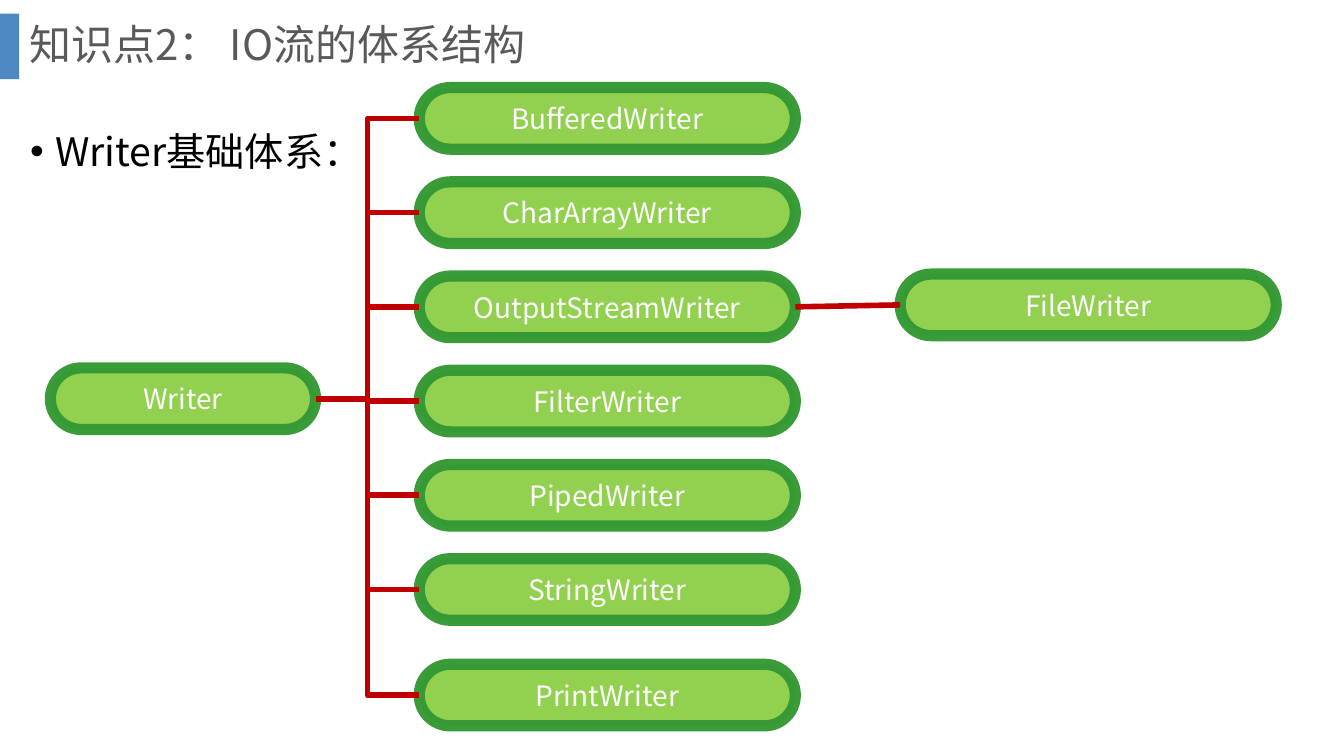
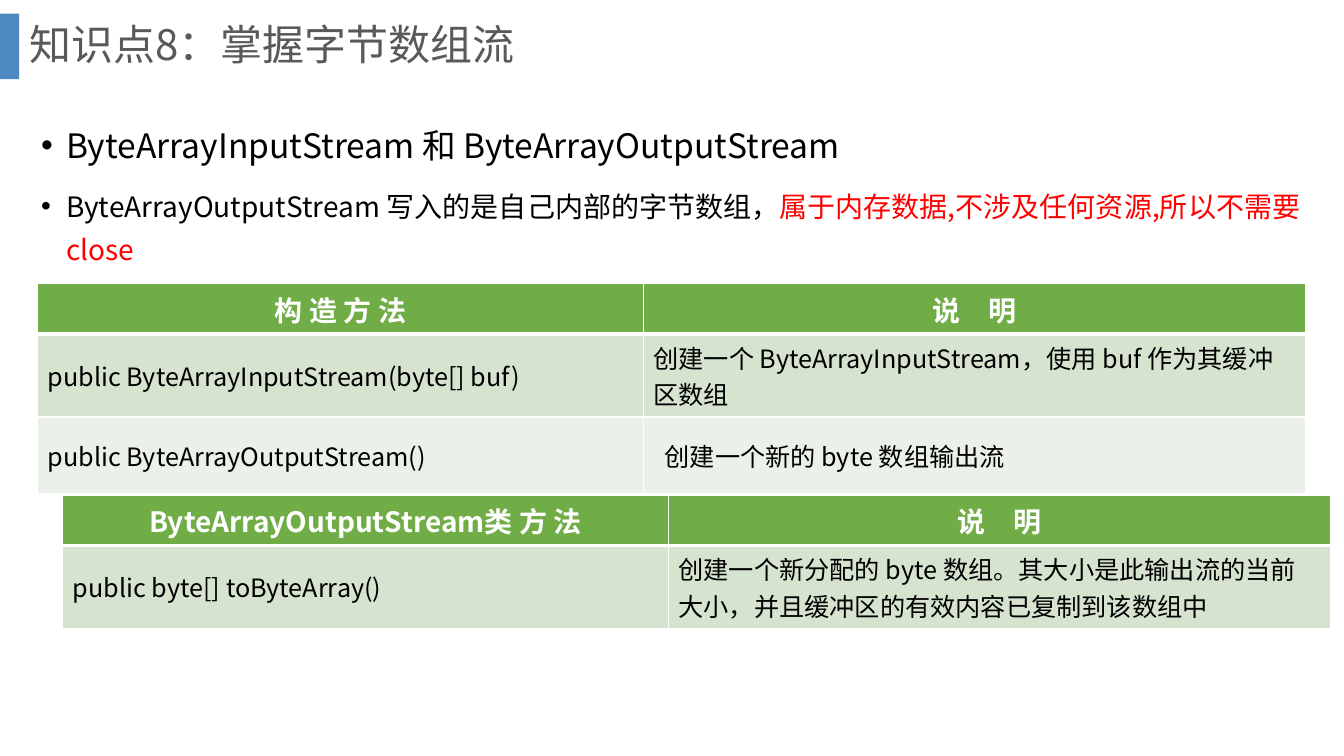
from lxml import etree
from pptx import Presentation
from pptx.dml.color import RGBColor
from pptx.enum import shapes, text
from pptx.oxml import ns
from pptx.util import Pt

FONT = "Noto Sans CJK SC"
WHITE = RGBColor(0xFF, 0xFF, 0xFF)
BLACK = RGBColor(0x00, 0x00, 0x00)
TITLE_GRAY = RGBColor(0x59, 0x59, 0x59)
BAND_BLUE = RGBColor(0x2E, 0x75, 0xB6)
PILL_FILL = RGBColor(0x92, 0xD0, 0x50)
PILL_LINE = RGBColor(0x33, 0x99, 0x33)
LINK_RED = RGBColor(0xC0, 0x00, 0x00)
ALERT_RED = RGBColor(0xFF, 0x00, 0x00)
HEADER_GREEN = RGBColor(0x70, 0xAD, 0x47)
ROW_FILLS = (RGBColor(0xD5, 0xE3, 0xCF), RGBColor(0xEB, 0xF1, 0xE9))

PILL_WIDTH, PILL_HEIGHT = 268.6, 44
COLUMN_WIDTHS = (432.7, 473)
HEADER_HEIGHT = 36


def add_element(parent, tag, **attributes):
    return etree.SubElement(parent, ns.qn(tag), attributes)


def style_run(run, size, color, bold=False):
    run.font.size = Pt(size)
    run.font.name = FONT
    run.font.bold = bold
    run.font.color.rgb = color
    add_element(run.font._element, "a:ea", typeface=FONT)


def set_opacity(fill_parent, percent):
    for color in fill_parent.iter(ns.qn("a:srgbClr")):
        add_element(color, "a:alpha", val=str(percent * 1000))


def add_titled_slide(presentation, title_text):
    """Add a slide with the blue band and the title that all slides share."""
    slide = presentation.slides.add_slide(presentation.slide_layouts[5])
    band = slide.shapes.add_shape(
        shapes.MSO_SHAPE.RECTANGLE, 0, Pt(9.7), Pt(13.7), Pt(46.8))
    band.shadow.inherit = False
    band.fill.solid()
    band.fill.fore_color.rgb = BAND_BLUE
    band.line.fill.background()
    set_opacity(band._element.spPr, 85)

    title = slide.shapes.title
    title.left, title.top, title.width, title.height = Pt(13.7), 0, Pt(911.5), Pt(67)
    frame = title.text_frame
    frame.text = title_text
    frame.auto_size = text.MSO_AUTO_SIZE.NONE
    frame.vertical_anchor = text.MSO_ANCHOR.MIDDLE
    paragraph = frame.paragraphs[0]
    paragraph.alignment = text.PP_ALIGN.LEFT
    paragraph.line_spacing = 0.9
    style_run(paragraph.runs[0], 30, TITLE_GRAY)
    return slide


def add_bullets(slide, left, top, height, line_spacing, bullets):
    """Each bullet is a size and a list of (text, color) pieces."""
    box = slide.shapes.add_textbox(Pt(left), Pt(top), Pt(928.8), Pt(height))
    frame = box.text_frame
    frame.word_wrap = True
    for index, (size, pieces) in enumerate(bullets):
        paragraph = frame.add_paragraph() if index else frame.paragraphs[0]
        paragraph.line_spacing = line_spacing
        paragraph.space_before = Pt(10)
        properties = paragraph._p.get_or_add_pPr()
        properties.set("marL", str(Pt(18)))
        properties.set("indent", str(-Pt(18)))
        add_element(properties, "a:buFont", typeface="Arial")
        add_element(properties, "a:buChar", char="•")
        for piece, color in pieces:
            run = paragraph.add_run()
            run.text = piece
            style_run(run, size, color)


def add_pill(slide, name, left, top, width=PILL_WIDTH):
    pill = slide.shapes.add_shape(
        shapes.MSO_SHAPE.ROUNDED_RECTANGLE, Pt(left), Pt(top), Pt(width), Pt(PILL_HEIGHT))
    pill.adjustments[0] = 0.5
    pill.shadow.inherit = False
    pill.fill.solid()
    pill.fill.fore_color.rgb = PILL_FILL
    pill.line.color.rgb = PILL_LINE
    pill.line.width = Pt(8)
    set_opacity(pill.line._ln, 96)
    frame = pill.text_frame
    frame.text = name
    frame.vertical_anchor = text.MSO_ANCHOR.MIDDLE
    frame.paragraphs[0].alignment = text.PP_ALIGN.CENTER
    style_run(frame.paragraphs[0].runs[0], 20, WHITE)
    return pill


def link_pills(slide, parent, child, kind):
    """Join the right side of the parent to the left side of the child."""
    connector = slide.shapes.add_connector(
        kind, parent.left + parent.width, parent.top + parent.height // 2,
        child.left, child.top + child.height // 2)
    connector.begin_connect(parent, 3)
    connector.end_connect(child, 1)
    connector.line.color.rgb = LINK_RED
    connector.line.width = Pt(4)
    add_element(connector._element.spPr, "a:effectLst")


def set_borders(cell, top, bottom):
    properties = cell._tc.get_or_add_tcPr()
    sides = (("L", 1), ("R", 1), ("T", top), ("B", bottom))
    for index, (side, width) in enumerate(sides):
        line = etree.Element(ns.qn(f"a:ln{side}"), w=str(Pt(width)))
        fill = add_element(line, "a:solidFill")
        add_element(fill, "a:srgbClr", val=str(WHITE))
        properties.insert(index, line)


def add_method_table(slide, left, top, rows, row_heights):
    """Add a table whose first row is a header; return it."""
    heights = (HEADER_HEIGHT, *row_heights)
    table = slide.shapes.add_table(
        len(rows), len(COLUMN_WIDTHS), Pt(left), Pt(top),
        Pt(sum(COLUMN_WIDTHS)), Pt(sum(heights))).table
    for column, width in zip(table.columns, COLUMN_WIDTHS):
        column.width = Pt(width)
    for row_index, (row, height) in enumerate(zip(rows, heights)):
        table.rows[row_index].height = Pt(height)
        header = row_index == 0
        for column_index, content in enumerate(row):
            cell = table.cell(row_index, column_index)
            cell.text = content
            cell.vertical_anchor = text.MSO_ANCHOR.MIDDLE
            cell.fill.solid()
            cell.fill.fore_color.rgb = HEADER_GREEN if header else ROW_FILLS[(row_index - 1) % 2]
            set_borders(cell, top=3 if row_index == 1 else 1, bottom=3 if header else 1)
            paragraph = cell.text_frame.paragraphs[0]
            paragraph.alignment = text.PP_ALIGN.CENTER if header else text.PP_ALIGN.LEFT
            style_run(paragraph.runs[0], 20 if header else 18, WHITE if header else BLACK, header)
    return table


def build_writer_slide(presentation):
    slide = add_titled_slide(presentation, "知识点2： IO流的体系结构")
    add_bullets(slide, 14.4, 70.6, 429, 1.5, [(28, [("Writer基础体系：", BLACK)])])

    writer = add_pill(slide, "Writer", 36, 262.8, 189.4)
    names = ("BufferedWriter", "CharArrayWriter", "OutputStreamWriter", "FilterWriter",
             "PipedWriter", "StringWriter", "PrintWriter")
    tops = [62.6 + 67.3 * index for index in range(6)] + [474.5]
    children = {name: add_pill(slide, name, 299.5, top) for name, top in zip(names, tops)}
    for child in children.values():
        link_pills(slide, writer, child, shapes.MSO_CONNECTOR.ELBOW)
    file_writer = add_pill(slide, "FileWriter", 643, 195.8)
    link_pills(slide, children["OutputStreamWriter"], file_writer, shapes.MSO_CONNECTOR.STRAIGHT)


def build_byte_array_slide(presentation):
    slide = add_titled_slide(presentation, "知识点8：掌握字节数组流")
    add_bullets(slide, 22.3, 77, 460, 1.3, [
        (24, [("ByteArrayInputStream 和 ByteArrayOutputStream", BLACK)]),
        (20, [("ByteArrayOutputStream 写入的是自己内部的字节数组，", BLACK),
              ("属于内存数据,不涉及任何资源,所以不需要close", ALERT_RED)]),
    ])
    constructors = add_method_table(slide, 26.9, 202.6, [
        ("构 造 方 法", "说　明"),
        ("public ByteArrayInputStream(byte[] buf)",
         "创建一个 ByteArrayInputStream，使用 buf 作为其缓冲区数组"),
        ("public ByteArrayOutputStream()", "创建一个新的 byte 数组输出流"),
    ], (59.3, 54.5))
    constructors.cell(2, 1).margin_left = Pt(15.2)
    add_method_table(slide, 44.8, 353.6, [
        ("ByteArrayOutputStream类 方 法", "说　明"),
        ("public byte[] toByteArray()",
         "创建一个新分配的 byte 数组。其大小是此输出流的当前大小，并且缓冲区的有效内容已复制到该数组中"),
    ], (59.3,))


def main():
    presentation = Presentation()
    presentation.slide_width, presentation.slide_height = Pt(960), Pt(540)
    build_writer_slide(presentation)
    build_byte_array_slide(presentation)
    presentation.save("out.pptx")


if __name__ == "__main__":
    main()
